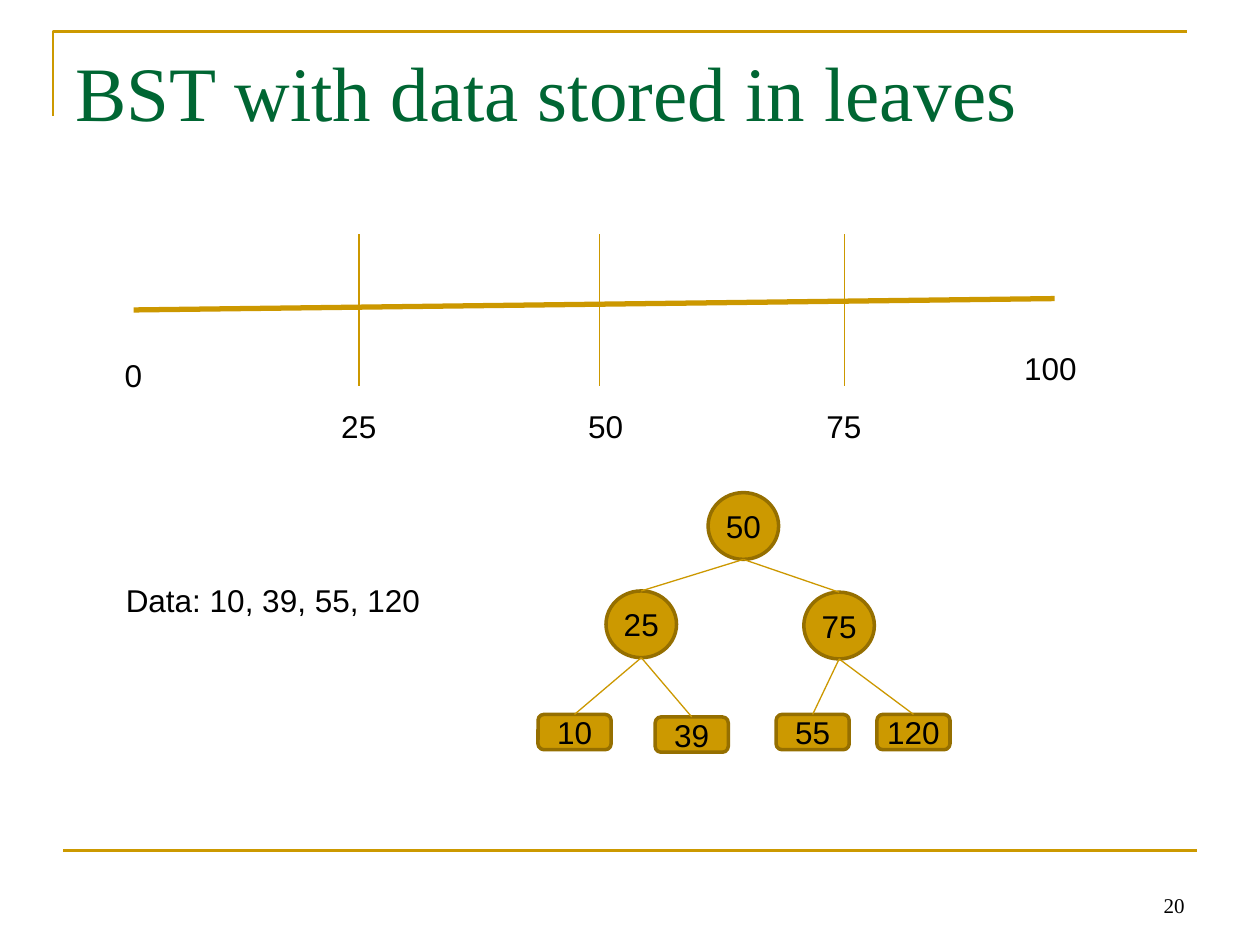
"""Build a slide showing a binary search tree that stores its data in leaves."""
from dataclasses import dataclass
from typing import Any, Optional

from lxml import etree
from pptx import Presentation
from pptx import util as u
from pptx.dml import color
from pptx.enum import shapes, text
from pptx.oxml import ns

GOLD, LINE_GOLD, DARK_GOLD = "CC9900", "CC9800", "956F00"
GREEN, BLACK = "006633", "000000"
TICK_TOP, TICK_BOTTOM = 1.86, 3.06


@dataclass(frozen=True)
class Label:
    """Text with its box and formatting, in inches and points."""
    content: str
    left: float
    top: float
    width: float
    height: float = 0.4
    size: int = 18
    font: str = "Arial"
    color: str = BLACK
    align: Any = text.PP_ALIGN.LEFT
    anchor: Any = text.MSO_ANCHOR.TOP
    wrap: bool = False


@dataclass(frozen=True)
class Line:
    """A straight line between two points."""
    x1: float
    y1: float
    x2: float
    y2: float
    color: str = LINE_GOLD
    width: float = 0.75


@dataclass(frozen=True)
class Node:
    """A tree node: a circle when inner, a rounded box when a leaf."""
    value: str
    left: float
    top: float
    parent: Optional["Node"] = None
    leaf: bool = False

    @property
    def size(self) -> tuple[float, float]:
        """Return the width and height of the node."""
        return (0.58, 0.28) if self.leaf else (0.56, 0.53)

    @property
    def center(self) -> float:
        """Return the horizontal centre of the node."""
        return self.left + self.size[0] / 2

    @property
    def bottom(self) -> float:
        """Return the lower edge of the node."""
        return self.top + self.size[1]


ROOT = Node("50", 5.62, 3.91)
LOW = Node("25", 4.81, 4.69, ROOT)
HIGH = Node("75", 6.38, 4.7, ROOT)
NODES = [
    ROOT, LOW, HIGH,
    Node("10", 4.27, 5.67, LOW, True),
    Node("39", 5.2, 5.69, LOW, True),
    Node("55", 6.16, 5.67, HIGH, True),
    Node("120", 6.96, 5.67, HIGH, True),
]
TITLE = Label("BST with data stored in leaves", 0.5, 0.3, 9, 1.25, 44,
              "Times New Roman", GREEN, wrap=True)
LABELS = [
    Label("0", 0.89, 2.78, 0.34),
    Label("100", 8.03, 2.72, 0.61),
    Label("25", 2.61, 3.18, 0.48),
    Label("50", 4.57, 3.18, 0.48),
    Label("75", 6.46, 3.18, 0.48),
    Label("Data: 10, 39, 55, 120", 0.9, 4.56, 2.53),
    Label("20", 7.17, 6.83, 2.33, 0.5, 12, "Times New Roman",
          align=text.PP_ALIGN.RIGHT, anchor=text.MSO_ANCHOR.BOTTOM, wrap=True),
]
AXIS = Line(1.06, 2.46, 8.37, 2.37, width=3)
FOOTER_RULE = Line(0.5, 6.75, 9.5, 6.75, GOLD, 1.5)
TICKS = [Line(x, TICK_TOP, x, TICK_BOTTOM) for x in (2.85, 4.76, 6.7)]
EDGES = [Line(node.parent.center, node.parent.bottom, node.center, node.top)
         for node in NODES if node.parent]


def rgb(value: str) -> color.RGBColor:
    """Turn a hex string into a colour."""
    return color.RGBColor.from_string(value)


def set_values(target: Any, values: dict[str, Any]) -> None:
    """Set every attribute named in the dict."""
    for name, value in values.items():
        setattr(target, name, value)


def set_line(shape: Any, value: str, width: float) -> None:
    """Give a shape a solid outline."""
    shape.line.color.rgb = rgb(value)
    shape.line.width = u.Pt(width)


def place(shape: Any, label: Label) -> None:
    """Move a shape to the label's box."""
    set_values(shape, {name: u.Inches(getattr(label, name))
                       for name in ("left", "top", "width", "height")})


def write(shape: Any, label: Label, inset_x: float = 0.1, inset_y: float = 0.05) -> None:
    """Write the label into a shape and format it."""
    frame = shape.text_frame
    frame.text = label.content
    set_values(frame, {
        "word_wrap": label.wrap, "vertical_anchor": label.anchor,
        "auto_size": text.MSO_AUTO_SIZE.NONE,
        "margin_left": u.Inches(inset_x), "margin_right": u.Inches(inset_x),
        "margin_top": u.Inches(inset_y), "margin_bottom": u.Inches(inset_y),
    })
    paragraph = frame.paragraphs[0]
    paragraph.alignment = label.align
    font = paragraph.runs[0].font
    set_values(font, {"size": u.Pt(label.size), "name": label.font})
    font.color.rgb = rgb(label.color)


def draw_label(slide: Any, label: Label) -> None:
    """Add a text box for the label."""
    box = slide.shapes.add_textbox(0, 0, 0, 0)
    place(box, label)
    write(box, label)


def draw_line(slide: Any, line: Line) -> None:
    """Add a straight connector without a shadow."""
    points = [u.Inches(value) for value in (line.x1, line.y1, line.x2, line.y2)]
    connector = slide.shapes.add_connector(shapes.MSO_CONNECTOR.STRAIGHT, *points)
    set_line(connector, line.color, line.width)
    etree.SubElement(connector._element.spPr, ns.qn("a:effectLst"))


def draw_node(slide: Any, node: Node) -> None:
    """Add a tree node with its value inside."""
    kind = shapes.MSO_SHAPE.ROUNDED_RECTANGLE if node.leaf else shapes.MSO_SHAPE.OVAL
    label = Label(node.value, node.left, node.top, *node.size,
                  align=text.PP_ALIGN.CENTER, anchor=text.MSO_ANCHOR.MIDDLE)
    shape = slide.shapes.add_shape(kind, 0, 0, 0, 0)
    place(shape, label)
    shape.shadow.inherit = False
    shape.fill.solid()
    shape.fill.fore_color.rgb = rgb(GOLD)
    set_line(shape, DARK_GOLD, 2)
    write(shape, label, 0, 0)


def draw_corner(slide: Any) -> None:
    """Add the open corner rule around the title."""
    builder = slide.shapes.build_freeform(u.Inches(0.42), u.Inches(0.92))
    builder.add_line_segments([(u.Inches(0.42), u.Inches(0.25)),
                               (u.Inches(9.42), u.Inches(0.25))], close=False)
    corner = builder.convert_to_shape()
    corner.shadow.inherit = False
    corner.fill.background()
    set_line(corner, GOLD, 1.5)


def main() -> None:
    """Build and save the presentation."""
    presentation = Presentation()
    set_values(presentation, {"slide_width": u.Inches(10), "slide_height": u.Inches(7.5)})
    slide = presentation.slides.add_slide(presentation.slide_layouts[5])
    place(slide.shapes.title, TITLE)
    write(slide.shapes.title, TITLE)
    draw_corner(slide)
    for line in [FOOTER_RULE, AXIS, *TICKS]:
        draw_line(slide, line)
    for label in LABELS:
        draw_label(slide, label)
    for node in NODES:
        draw_node(slide, node)
    for edge in EDGES:
        draw_line(slide, edge)
    presentation.save("out.pptx")


if __name__ == "__main__":
    main()
